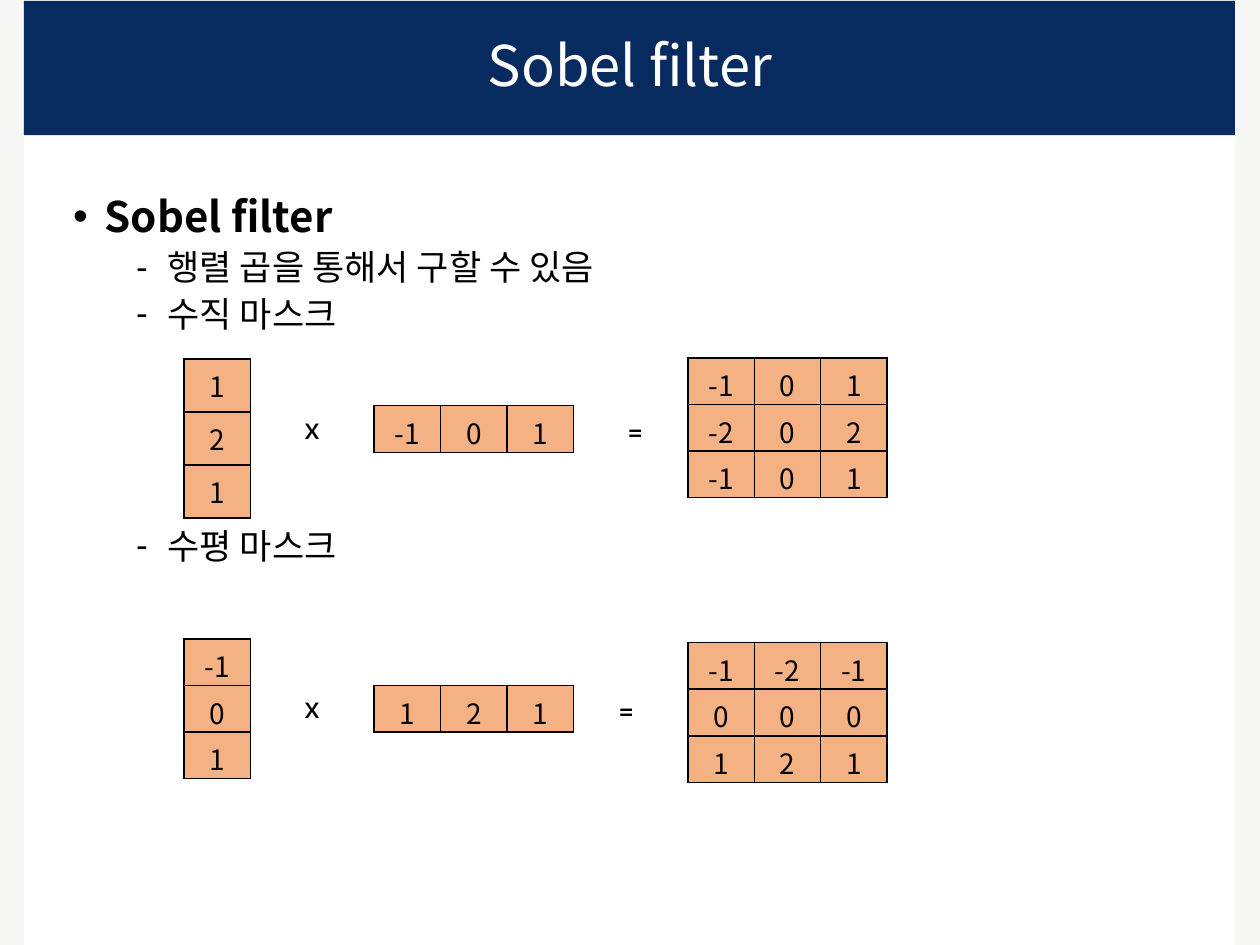
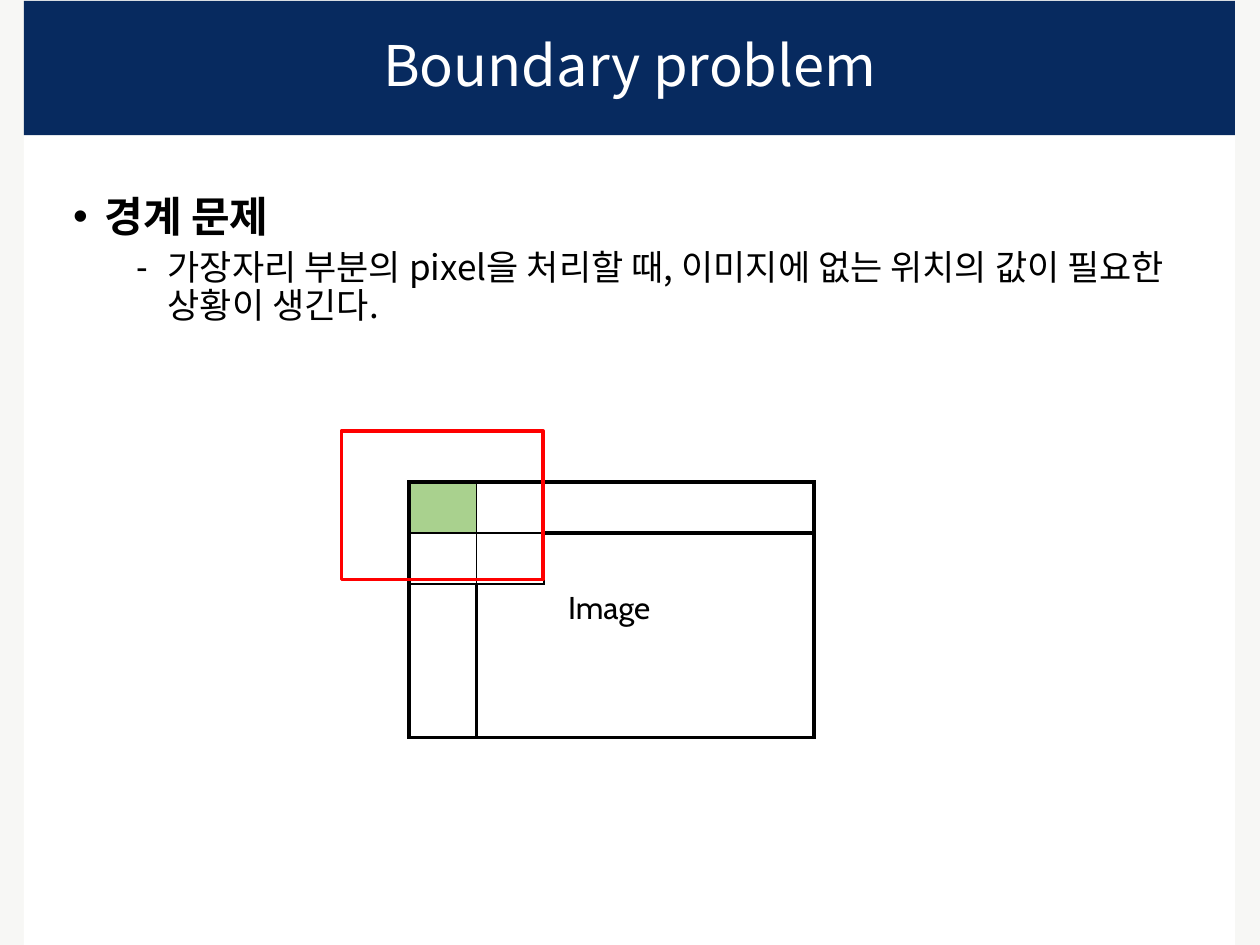
from dataclasses import dataclass

from lxml.etree import SubElement
from pptx import Presentation
from pptx.dml.color import RGBColor
from pptx.enum.shapes import MSO_SHAPE
from pptx.enum.text import MSO_ANCHOR, MSO_AUTO_SIZE, PP_ALIGN
from pptx.oxml.ns import qn
from pptx.util import Inches, Pt


@dataclass(frozen=True)
class Theme:
    """Colours, fonts, type sizes and line widths of the presentation."""
    background: str = "F7F7F5"
    panel: str = "FFFFFF"
    band: str = "072A5F"
    title: str = "FFFFFF"
    ink: str = "000000"
    mask: str = "F4B183"
    pixel: str = "A9D18E"
    window: str = "FF0000"
    font: str = "Noto Sans CJK KR"
    label_font: str = "Cabin"
    title_size: int = 32
    heading_size: int = 24
    body_size: int = 20
    label_size: int = 18
    cell_size: int = 16
    thin: float = 1
    thick: float = 2.25
    window_line: float = 2


THEME = Theme()
WIDTH, HEIGHT = Inches(10), Inches(7.5)
NO_GRID_STYLE = "{2D5ABB26-0587-4C30-8999-92F81FD0307C}"
MASK_COLUMN, MASK_ROW = 5.27, 4.93
IMAGE_COLUMN, IMAGE_ROW = 5.36, 5.33


def box(left, top, width, height):
    """Turn percentages of the slide into lengths."""
    return (int(WIDTH * left / 100), int(HEIGHT * top / 100),
            int(WIDTH * width / 100), int(HEIGHT * height / 100))


def place(shape, area):
    """Move and size a shape."""
    shape.left, shape.top, shape.width, shape.height = area


def style(paragraph, size, color=THEME.ink, font=THEME.font, bold=False):
    """Set the font of a paragraph."""
    paragraph.font.size = Pt(size)
    paragraph.font.name = font
    paragraph.font.bold = bold
    paragraph.font.color.rgb = RGBColor.from_string(color)


def add_rectangle(slide, area, fill=None, line=None, shape_type=MSO_SHAPE.RECTANGLE):
    """Add a rectangle with an optional fill and outline."""
    shape = slide.shapes.add_shape(shape_type, *area)
    shape.shadow.inherit = False
    if fill:
        shape.fill.solid()
        shape.fill.fore_color.rgb = RGBColor.from_string(fill)
    else:
        shape.fill.background()
    if line:
        shape.line.color.rgb = RGBColor.from_string(line)
        shape.line.width = Pt(THEME.window_line)
    else:
        shape.line.fill.background()
    return shape


def design_layout(layout, slide):
    """Give the layout its background, panel, band and placeholder places."""
    layout.background.fill.solid()
    layout.background.fill.fore_color.rgb = RGBColor.from_string(THEME.background)
    title, body = layout.placeholders[0], layout.placeholders[1]
    panel = add_rectangle(slide, box(1.9, 14.3, 96.1, 85.7), THEME.panel)
    band = add_rectangle(slide, box(1.9, 0.1, 96.1, 14.2), THEME.band,
                         shape_type=MSO_SHAPE.ROUNDED_RECTANGLE)
    band.adjustments[0] = 0
    for shape in (panel, band):
        title._element.addprevious(shape._element)
    place(title, box(4.7, 2.8, 90.6, 8.9))
    place(body, box(4.8, 20.1, 90.5, 70.1))


def fill_title(slide, text):
    """Write the slide title."""
    frame = slide.shapes.title.text_frame
    frame.text = text
    frame.vertical_anchor = MSO_ANCHOR.MIDDLE
    frame.auto_size = MSO_AUTO_SIZE.NONE
    paragraph = frame.paragraphs[0]
    paragraph.alignment = PP_ALIGN.CENTER
    paragraph.line_spacing = 0.9
    style(paragraph, THEME.title_size, THEME.title)


def fill_body(slide, heading, points):
    """Write a bold heading and its points, each with its space before."""
    frame = slide.placeholders[1].text_frame
    frame.auto_size = MSO_AUTO_SIZE.NONE
    for index, (text, space) in enumerate([(heading, 0), *points]):
        paragraph = frame.paragraphs[0] if index == 0 else frame.add_paragraph()
        paragraph.text = text
        paragraph.level = min(index, 1)
        paragraph.line_spacing = 0.9
        paragraph.space_before = Pt(space)
        properties = paragraph._p.get_or_add_pPr()
        properties.set("marL", str(Inches(0.75 if index else 0.25)))
        properties.set("indent", str(Inches(-0.25)))
        SubElement(properties, qn("a:buChar")).set("char", "-" if index else "•")
        style(paragraph, THEME.body_size if index else THEME.heading_size, bold=index == 0)


def add_label(slide, text, area):
    """Add a short unwrapped label."""
    frame = slide.shapes.add_textbox(*area).text_frame
    frame.word_wrap = False
    frame.text = text
    style(frame.paragraphs[0], THEME.label_size, font=THEME.label_font)


def add_border(cell, side, width):
    """Draw one side (L, R, T or B) of a cell."""
    line = SubElement(cell._tc.get_or_add_tcPr(), qn(f"a:ln{side}"), w=str(Pt(width)))
    fill = SubElement(line, qn("a:solidFill"))
    SubElement(fill, qn("a:srgbClr"), val=THEME.ink)


def add_grid(slide, left, top, rows, columns, column_width, row_height):
    """Add a plain table of equal cells."""
    area = box(left, top, columns * column_width, rows * row_height)
    table = slide.shapes.add_table(rows, columns, *area).table
    table.first_row = table.horz_banding = False
    table._tbl.tblPr.find(qn("a:tableStyleId")).text = NO_GRID_STYLE
    return table


def fill_cell(cell, color):
    """Colour a cell."""
    cell.fill.solid()
    cell.fill.fore_color.rgb = RGBColor.from_string(color)


def add_matrix(slide, left, top, values, compact=False):
    """Add a matrix of numbers as a bordered table."""
    table = add_grid(slide, left, top, len(values), len(values[0]), MASK_COLUMN, MASK_ROW)
    for row, numbers in enumerate(values):
        for column, number in enumerate(numbers):
            cell = table.cell(row, column)
            cell.text = str(number)
            if compact:
                cell.margin_bottom = 0
            paragraph = cell.text_frame.paragraphs[0]
            paragraph.alignment = PP_ALIGN.CENTER
            style(paragraph, THEME.cell_size)
            for side in "LRTB":
                add_border(cell, side, THEME.thin)
            fill_cell(cell, THEME.mask)


def add_product(slide, top, column, row, result_top, equals_left, compact=False):
    """Show a column times a row and the mask they make."""
    add_matrix(slide, 14.6, top, [[value] for value in column], compact)
    add_label(slide, "x", box(23.2, top + 4.5, 3.2, 5.3))
    add_matrix(slide, 29.7, top + MASK_ROW, [row], compact)
    add_label(slide, "=", box(equals_left, top + 4.8, 3.8, 5.3))
    add_matrix(slide, 54.6, result_top, [[a * b for b in row] for a in column])


def add_image_grid(slide, left, top):
    """Draw an image frame with four pixels marked out in its corner."""
    rows, columns = 7, 8
    table = add_grid(slide, left, top, rows, columns, IMAGE_COLUMN, IMAGE_ROW)
    for row in range(1, rows - 1):
        for column in range(1, columns - 1):
            cell = table.cell(row, column)
            on_frame = {"L": column == 1, "R": column == columns - 2,
                        "T": row == 1, "B": row == rows - 2}
            for side, framed in on_frame.items():
                if framed:
                    add_border(cell, side, THEME.thick)
                elif row <= 2 and column <= 2:
                    add_border(cell, side, THEME.thin)
    fill_cell(table.cell(1, 1), THEME.pixel)


def main():
    """Build and save the presentation."""
    presentation = Presentation()
    presentation.slide_width, presentation.slide_height = WIDTH, HEIGHT
    layout = presentation.slide_layouts[1]

    sobel = presentation.slides.add_slide(layout)
    design_layout(layout, sobel)
    fill_title(sobel, "Sobel filter")
    fill_body(sobel, "Sobel filter", [("행렬 곱을 통해서 구할 수 있음", 5),
                                      ("수직 마스크", 5), ("수평 마스크", 111)])
    add_product(sobel, 38, [1, 2, 1], [-1, 0, 1], 37.87, 48.8)
    add_product(sobel, 67.6, [-1, 0, 1], [1, 2, 1], 68, 48.1, compact=True)

    boundary = presentation.slides.add_slide(layout)
    fill_title(boundary, "Boundary problem")
    fill_body(boundary, "경계 문제", [
        ("가장자리 부분의 pixel을 처리할 때, 이미지에 없는 위치의 값이 필요한 상황이 생긴다.", 5)])
    add_image_grid(boundary, 27.1, 45.6)
    add_rectangle(boundary, box(27.1, 45.6, 16, 15.73), line=THEME.window)
    add_label(boundary, "Image", box(44.1, 61.6, 8.9, 5.3))

    presentation.save("out.pptx")


if __name__ == "__main__":
    main()
